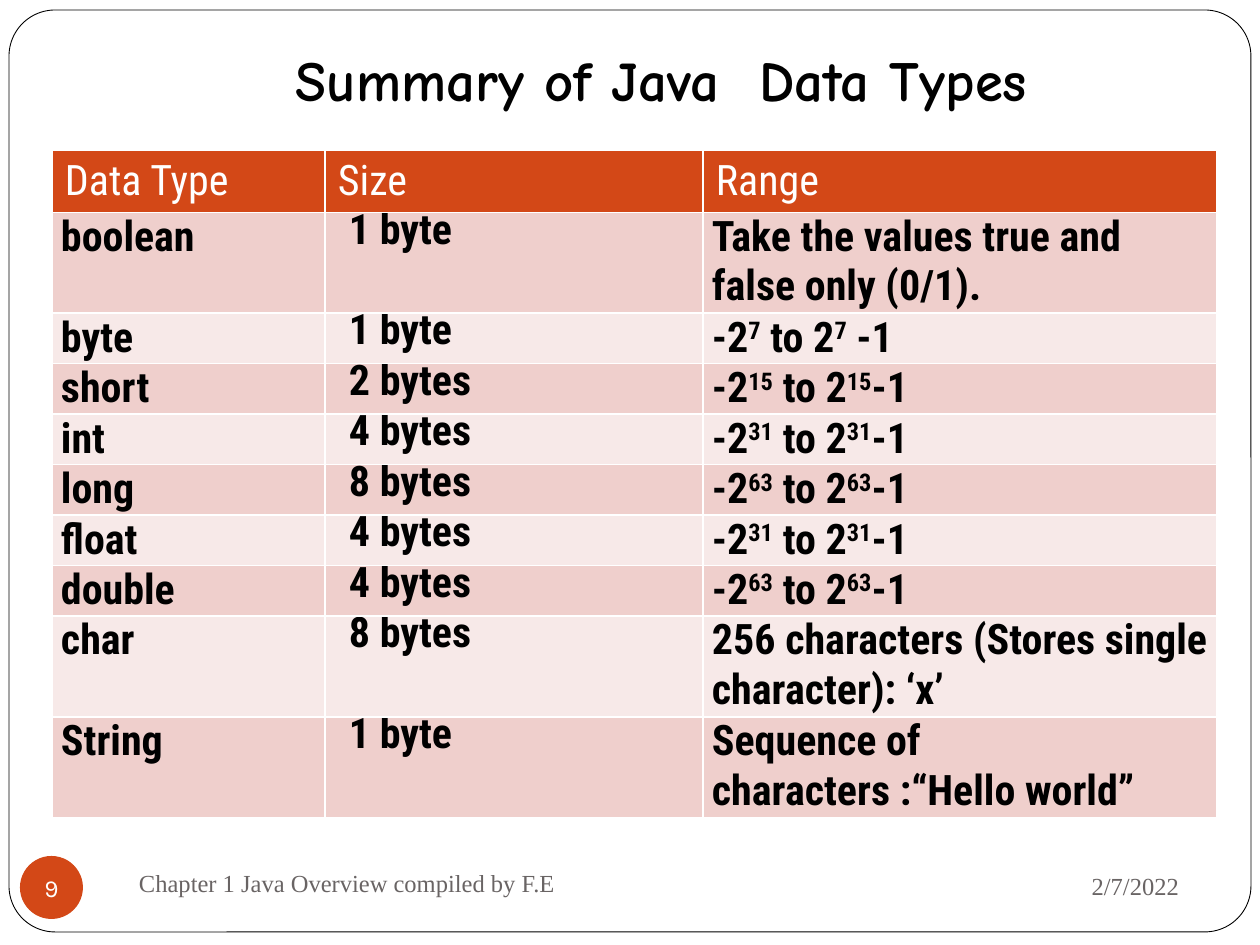
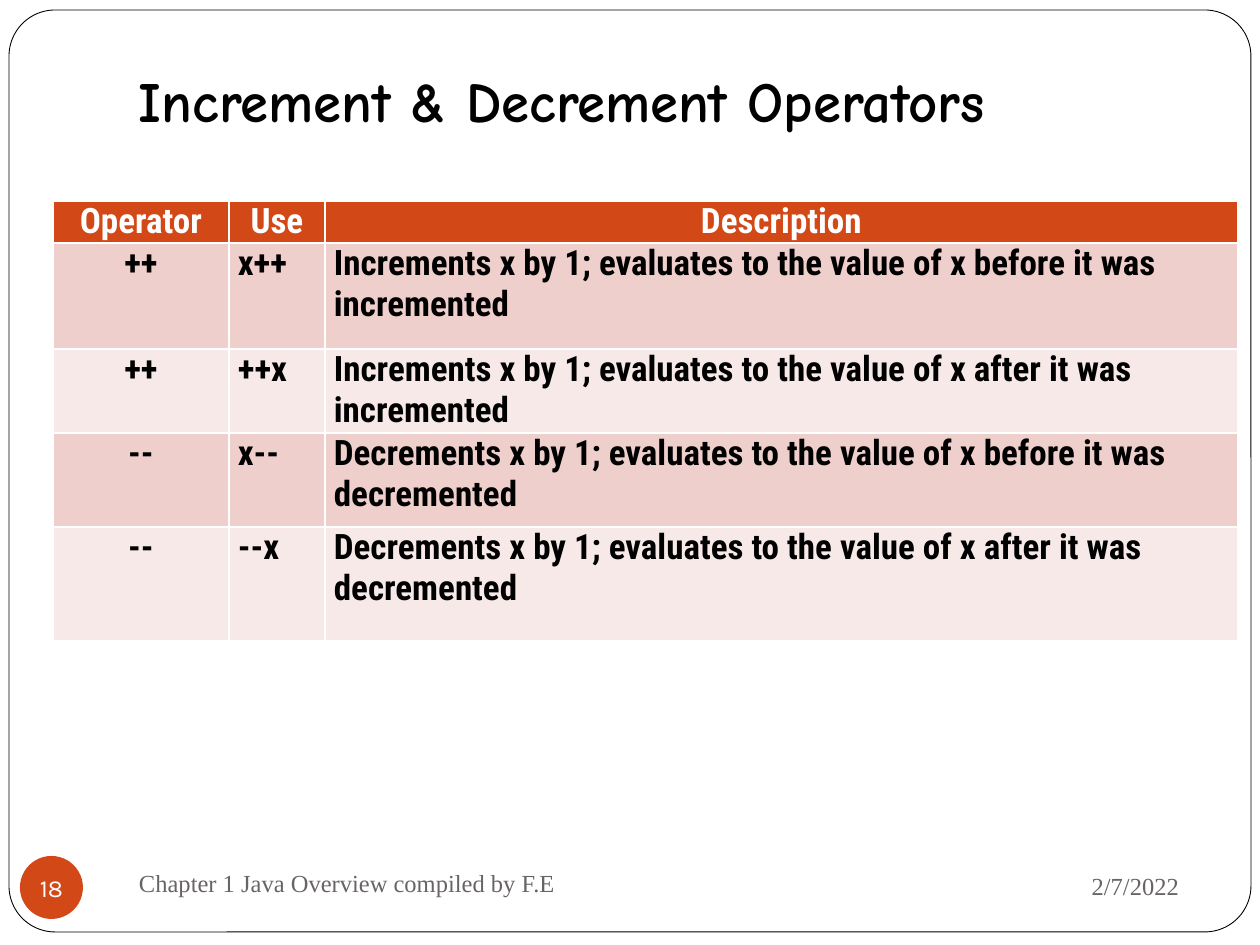
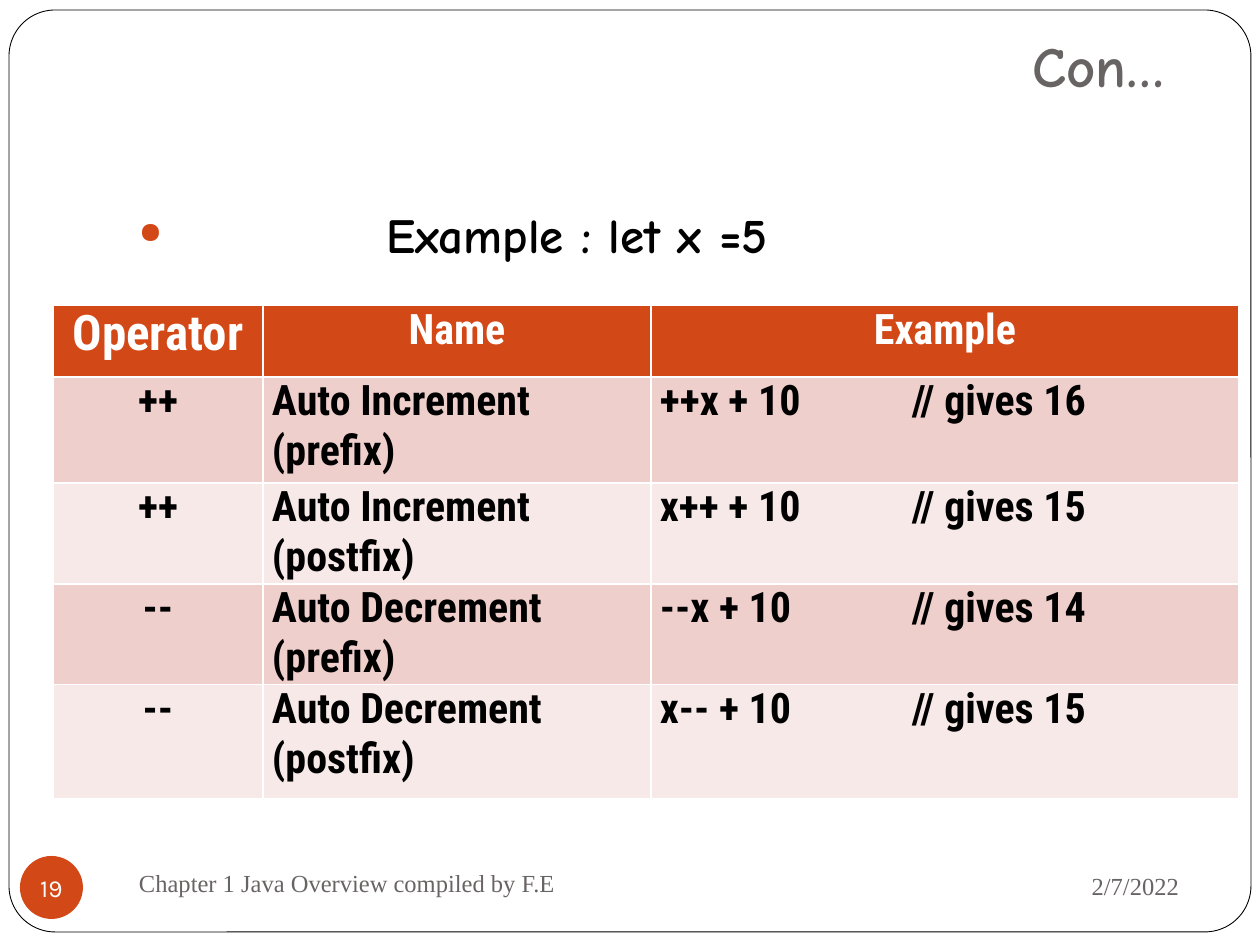
from lxml import etree
from pptx import Presentation
from pptx import util as u
from pptx.dml.color import RGBColor
from pptx.enum import shapes, text
from pptx.oxml import ns

COLOURS = {
    "accent": "D34817",
    "band_dark": "EFCFCC",
    "band_light": "F7E9E8",
    "white": "FFFFFF",
    "black": "000000",
    "grey": "696464",
}
TITLE_FONT, TABLE_FONT = "Comic Neue", "Roboto Condensed"
FOOTER_FONT, NUMBER_FONT = "Times New Roman", "Karla"
LEFT, CENTRE, RIGHT = text.PP_ALIGN.LEFT, text.PP_ALIGN.CENTER, text.PP_ALIGN.RIGHT
TOP, MIDDLE, BOTTOM = (text.MSO_ANCHOR.TOP, text.MSO_ANCHOR.MIDDLE,
                       text.MSO_ANCHOR.BOTTOM)
PX_PER_INCH = 126
WIDTH, HEIGHT = 1260, 945
TITLE_BOX = (126, 38, 1071, 109)
CELL_MARGINS = (9, 0, 9, 0)


def px(length):
    return u.Emu(round(length * u.Inches(1) / PX_PER_INCH))


def colour(name):
    return RGBColor.from_string(COLOURS[name])


def add_xml(parent, tag, **attributes):
    return etree.SubElement(parent, ns.qn(tag), attributes)


def set_margins(holder, margins):
    (holder.margin_left, holder.margin_top,
     holder.margin_right, holder.margin_bottom) = map(px, margins)


def write(frame, words, font=TABLE_FONT, size=24, ink="black", bold=False,
          align=LEFT, spacing=None):
    """Write one paragraph; parts between ^ marks are raised."""
    paragraph = frame.paragraphs[0]
    paragraph.alignment = align
    if spacing:
        paragraph.line_spacing = spacing
    for index, part in enumerate(words.split("^")):
        if not part:
            continue
        run = paragraph.add_run()
        run.text = part
        run.font.name, run.font.size, run.font.bold = font, u.Pt(size), bold
        run.font.color.rgb = colour(ink)
        if index % 2:
            run._r.get_or_add_rPr().set("baseline", "30000")
    return paragraph


def text_box(slide, box, words, anchor=MIDDLE, margins=(13, 6, 13, 6), **format):
    frame = slide.shapes.add_textbox(*map(px, box)).text_frame
    frame.word_wrap = True
    frame.vertical_anchor = anchor
    set_margins(frame, margins)
    return write(frame, words, **format)


def filled_shape(slide, kind, box, fill):
    shape = slide.shapes.add_shape(kind, *map(px, box))
    shape.shadow.inherit = False
    shape.fill.solid()
    shape.fill.fore_color.rgb = colour(fill)
    return shape


def page_frame(slide):
    frame = filled_shape(slide, shapes.MSO_SHAPE.ROUNDED_RECTANGLE,
                         (9, 10, 1242, 922), "white")
    frame.adjustments[0] = 0.05
    frame.line.color.rgb = colour("black")
    frame.line.width = u.Pt(0.5)


def footer(slide, number):
    badge = filled_shape(slide, shapes.MSO_SHAPE.OVAL, (20, 856, 63, 63), "accent")
    badge.line.fill.background()
    badge.text_frame.word_wrap = False
    badge.text_frame.vertical_anchor = MIDDLE
    set_margins(badge.text_frame, (0, 0, 0, 0))
    write(badge.text_frame, str(number), font=NUMBER_FONT, size=14, ink="white",
          align=CENTRE)
    style = dict(font=FOOTER_FONT, size=14, ink="grey")
    text_box(slide, (851, 853, 341, 66), "2/7/2022", align=RIGHT, **style)
    text_box(slide, (126, 851, 546, 63), "Chapter 1 Java Overview compiled by F.E",
             **style)


def title(slide, words, box=TITLE_BOX, ink="black", anchor=BOTTOM,
          margins=(13, 6, 13, 13), **format):
    text_box(slide, box, words, anchor=anchor, margins=margins, font=TITLE_FONT,
             size=32.4, ink=ink, bold=True, **format)


def bullet_line(slide, box, words, indent):
    paragraph = text_box(slide, box, words, anchor=TOP, font=TITLE_FONT, size=28,
                         bold=True)
    properties = paragraph._p.get_or_add_pPr()
    properties.set("marL", str(px(indent)))
    properties.set("indent", str(-px(indent)))
    bullet_ink = add_xml(properties, "a:buClr")
    add_xml(bullet_ink, "a:srgbClr", val=COLOURS["accent"])
    add_xml(properties, "a:buSzPct", val="60000")
    add_xml(properties, "a:buChar", char="●")


def style_cell(cell, fill):
    """Fill a cell and give it thin white borders."""
    cell.fill.solid()
    cell.fill.fore_color.rgb = colour(fill)
    properties = cell._tc.get_or_add_tcPr()
    for index, side in enumerate(("a:lnL", "a:lnR", "a:lnT", "a:lnB")):
        border = etree.Element(ns.qn(side), w=str(u.Pt(1)))
        add_xml(add_xml(border, "a:solidFill"), "a:srgbClr", val=COLOURS["white"])
        properties.insert(index, border)


def banded_table(slide, corner, widths, heights, header, body, size=24,
                 header_style=None, header_margins=CELL_MARGINS,
                 column_margins=None, column_styles=None, tab=None):
    """Draw a header row over striped rows; column settings go by column index."""
    left, top = corner
    table = slide.shapes.add_table(
        len(heights), len(widths),
        *map(px, (left, top, sum(widths), sum(heights)))).table
    table.horz_banding = False
    for column, width in zip(table.columns, widths):
        column.width = px(width)
    for row, height in zip(table.rows, heights):
        row.height = px(height)

    # Header
    header_style = dict(size=size, bold=True, align=CENTRE) | (header_style or {})
    for index, words in enumerate(header):
        cell = table.cell(0, index)
        style_cell(cell, "accent")
        set_margins(cell, header_margins)
        style = header_style | ({"size": 28} if index == 0 and tab else {})
        write(cell.text_frame, words, ink="white", **style)

    # Striped rows
    for row, line in enumerate(body, 1):
        for index, words in enumerate(line):
            cell = table.cell(row, index)
            style_cell(cell, "band_dark" if row % 2 else "band_light")
            set_margins(cell, (column_margins or {}).get(index, CELL_MARGINS))
            paragraph = write(cell.text_frame, words, size=size, bold=True,
                              **(column_styles or {}).get(index, {}))
            if "\t" in words:
                stops = add_xml(paragraph._p.get_or_add_pPr(), "a:tabLst")
                add_xml(stops, "a:tab", pos=str(px(tab)), algn="l")


def power_range(bits, gap=""):
    return f"-2^{bits}^ to 2^{bits}^{gap}-1"


def data_types_slide(slide):
    title(slide, "Summary of Java  Data Types", box=(126, 38, 1071, 88), align=CENTRE)
    banded_table(
        slide, (52, 150), (273, 378, 514), [61, 99] + [50] * 6 + [99, 98],
        ("Data Type", "Size", "Range"),
        [("boolean", "1 byte", "Take the values true and false only (0/1)."),
         ("byte", "1 byte", power_range(7, " ")),
         ("short", "2 bytes", power_range(15)),
         ("int", "4 bytes", power_range(31)),
         ("long", "8 bytes", power_range(63)),
         ("float", "4 bytes", power_range(31)),
         ("double", "4 bytes", power_range(63)),
         ("char", "8 bytes", "256 characters (Stores single character): ‘x’"),
         ("String", "1 byte", "Sequence of characters :“Hello world”")],
        header_style=dict(bold=False, align=LEFT), header_margins=(13, 6, 13, 6),
        column_margins={1: (24, 21, 9, 0)}, column_styles={1: dict(spacing=u.Pt(12))})


def operators_slide(slide):
    title(slide, "Increment & Decrement Operators")
    body = [(sign, use, f"{verb}s x by 1; evaluates to the value of x {when} "
                        f"it was {verb.lower()}ed")
            for sign, verb in (("++", "Increment"), ("--", "Decrement"))
            for use, when in (("x" + sign, "before"), (sign + "x", "after"))]
    banded_table(slide, (53, 201), (176, 96, 913), (40, 106, 84, 94, 114),
                 ("Operator", "Use", "Description"), body, size=20,
                 column_styles={0: dict(align=CENTRE)})


def examples_slide(slide):
    title(slide, "Con…", ink="grey", anchor=TOP, margins=(13, 0, 33, 13),
          align=RIGHT, spacing=0.9)
    bullet_line(slide, (126, 199, 1071, 630), "Example : let x =5", indent=248)
    banded_table(
        slide, (53, 305), (210, 388, 588), (72, 106, 98, 99, 114),
        ("Operator", "Name", "Example"),
        [("++", "Auto Increment (prefix)", "++x + 10\t// gives 16"),
         ("++", "Auto Increment (postfix)", "x++ + 10\t// gives 15"),
         ("--", "Auto Decrement (prefix)", "--x + 10\t// gives 14"),
         ("--", "Auto Decrement (postfix)", "x-- + 10\t// gives 15")],
        column_styles={0: dict(align=CENTRE)}, tab=252)


def main():
    deck = Presentation()
    deck.slide_width, deck.slide_height = px(WIDTH), px(HEIGHT)
    blank = deck.slide_layouts[6]
    for number, fill_slide in ((9, data_types_slide), (18, operators_slide),
                               (19, examples_slide)):
        slide = deck.slides.add_slide(blank)
        page_frame(slide)
        fill_slide(slide)
        footer(slide, number)
    deck.save("out.pptx")


if __name__ == "__main__":
    main()
